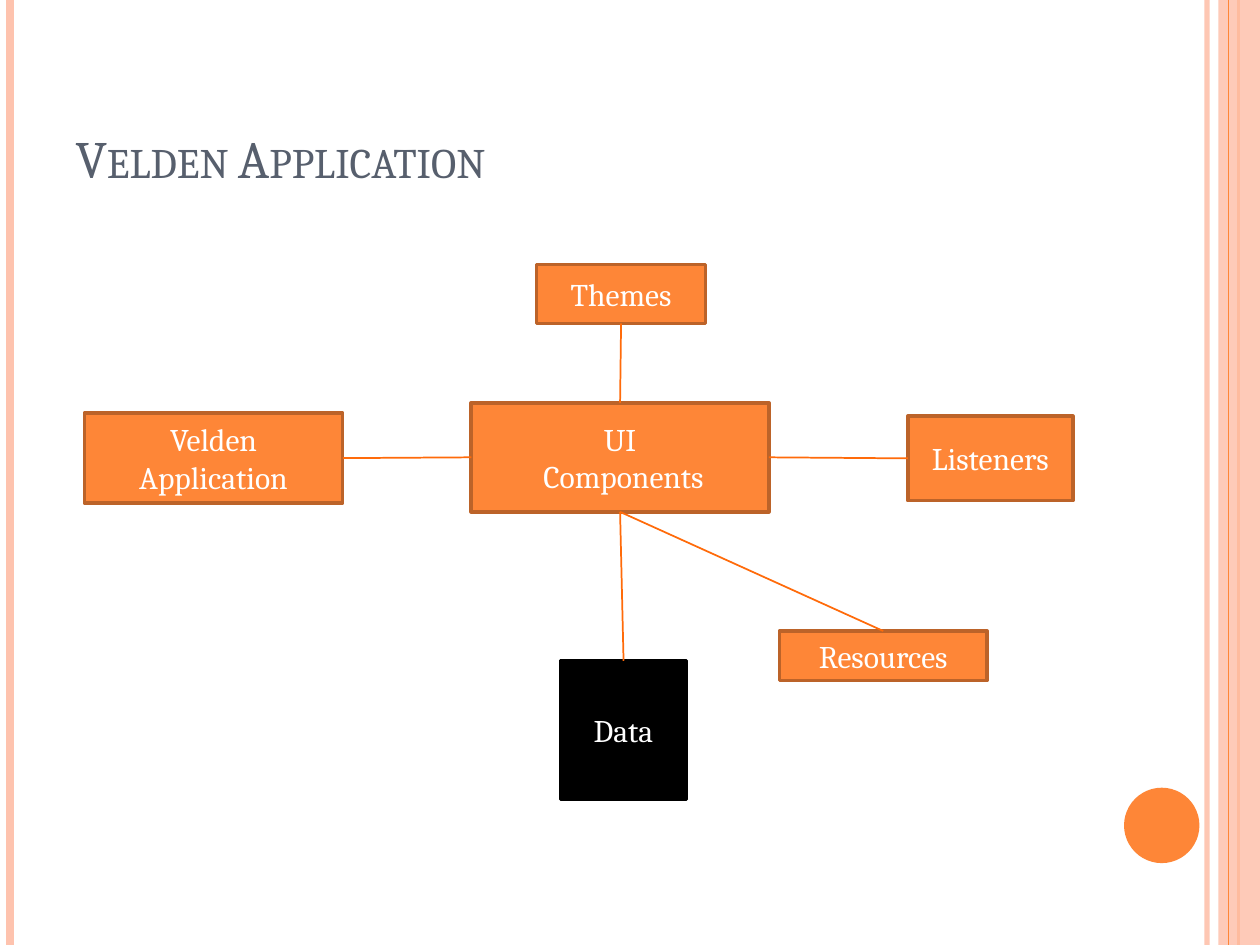
from pptx import Presentation
from pptx.dml.color import RGBColor
from pptx.enum import shapes, text
from pptx.oxml.ns import qn
from pptx.util import Cm, Pt
from lxml import etree

ORANGE, PEACH, BROWN = "FE8637", "FEC3AE", "BC6329"
TOP, LEFT, BOTTOM, RIGHT = range(4)


def write(frame, content, size=18, color="FFFFFF", align=text.PP_ALIGN.CENTER,
          anchor=text.MSO_ANCHOR.MIDDLE, small_caps=False):
    """Fill a text frame, one paragraph per line of content."""
    frame.text = content
    frame.word_wrap = True
    frame.vertical_anchor = anchor
    for paragraph in frame.paragraphs:
        paragraph.alignment = align
        font = paragraph.runs[0].font
        font.name, font.size = "Cambria", Pt(size)
        font.color.rgb = RGBColor.from_string(color)
        if small_caps:
            font._element.set("cap", "small")


def paint(item, fill=None, line=None, width=1, alpha=None):
    """Set fill and outline, drop the shadow, and make the fill or line translucent."""
    etree.SubElement(item._element.spPr, qn("a:effectLst"))
    if fill:
        item.fill.solid()
        item.fill.fore_color.rgb = RGBColor.from_string(fill)
    if line:
        item.line.color.rgb = RGBColor.from_string(line)
        item.line.width = Pt(width)
    else:
        item.line.fill.background()
    if alpha:
        color = next(item._element.spPr.iter(qn("a:srgbClr")))
        etree.SubElement(color, qn("a:alpha"), val=str(alpha * 1000))


deck = Presentation()
deck.slide_width, deck.slide_height = Cm(25.4), Cm(19.05)
slide = deck.slides.add_slide(deck.slide_layouts[5])
items = slide.shapes

# Side decoration, from back to front
stripes = [(24.33, PEACH, 3, 93), (0.2, PEACH, 4.5, None), (24.97, ORANGE, 1.5, None)]
edge_line = (24.77, ORANGE, 0.75, None)
for x, color, width, alpha in stripes + [edge_line]:
    if x == edge_line[0]:
        band = items.add_shape(shapes.MSO_SHAPE.RECTANGLE, Cm(24.56), 0, Cm(0.84), Cm(19.05))
        paint(band, fill=PEACH, alpha=87)
    stripe = items.add_connector(shapes.MSO_CONNECTOR.STRAIGHT, Cm(x), 0, Cm(x), Cm(19.05))
    paint(stripe, line=color, width=width, alpha=alpha)
disc = items.add_shape(shapes.MSO_SHAPE.OVAL, Cm(22.66), Cm(15.88), Cm(1.52), Cm(1.52))
paint(disc, fill=ORANGE)

heading = items.title
heading.left, heading.top, heading.width, heading.height = Cm(1.27), Cm(0.76), Cm(20.75), Cm(3.18)
write(heading.text_frame, "Velden Application", size=30, color="575F6D",
      align=text.PP_ALIGN.LEFT, anchor=text.MSO_ANCHOR.BOTTOM, small_caps=True)

# Parts of the application: label, left, top, width, height, fill, outline
parts = [
    ("Velden Application", 1.7, 8.33, 5.21, 1.81, ORANGE, BROWN),
    ("UI\n Components", 9.5, 8.12, 6, 2.2, ORANGE, BROWN),
    ("Data", 11.3, 13.32, 2.54, 2.8, "000000", "000000"),
    ("Themes", 10.82, 5.33, 3.4, 1.19, ORANGE, BROWN),
    ("Resources", 15.71, 12.72, 4.19, 1, ORANGE, BROWN),
    ("Listeners", 18.3, 8.39, 3.33, 1.7, ORANGE, BROWN),
]
boxes = {}
for label, left, top, width, height, fill, outline in parts:
    box = items.add_shape(shapes.MSO_SHAPE.FLOWCHART_PROCESS,
                          Cm(left), Cm(top), Cm(width), Cm(height))
    paint(box, fill=fill, line=outline, width=2)
    write(box.text_frame, label)
    boxes[label] = box

# Every part hangs on the UI components
hub = boxes["UI\n Components"]
links = [
    ("Velden Application", RIGHT, LEFT),
    ("Themes", BOTTOM, TOP),
    ("Resources", TOP, BOTTOM),
    ("Data", TOP, BOTTOM),
    ("Listeners", LEFT, RIGHT),
]
for label, part_side, hub_side in links:
    link = items.add_connector(shapes.MSO_CONNECTOR.STRAIGHT, 0, 0, 0, 0)
    link.begin_connect(hub, hub_side)
    link.end_connect(boxes[label], part_side)
    paint(link, line="FF6B0A")

# The title is drawn above the side decoration
disc._element.addnext(heading._element)

deck.save("out.pptx")
